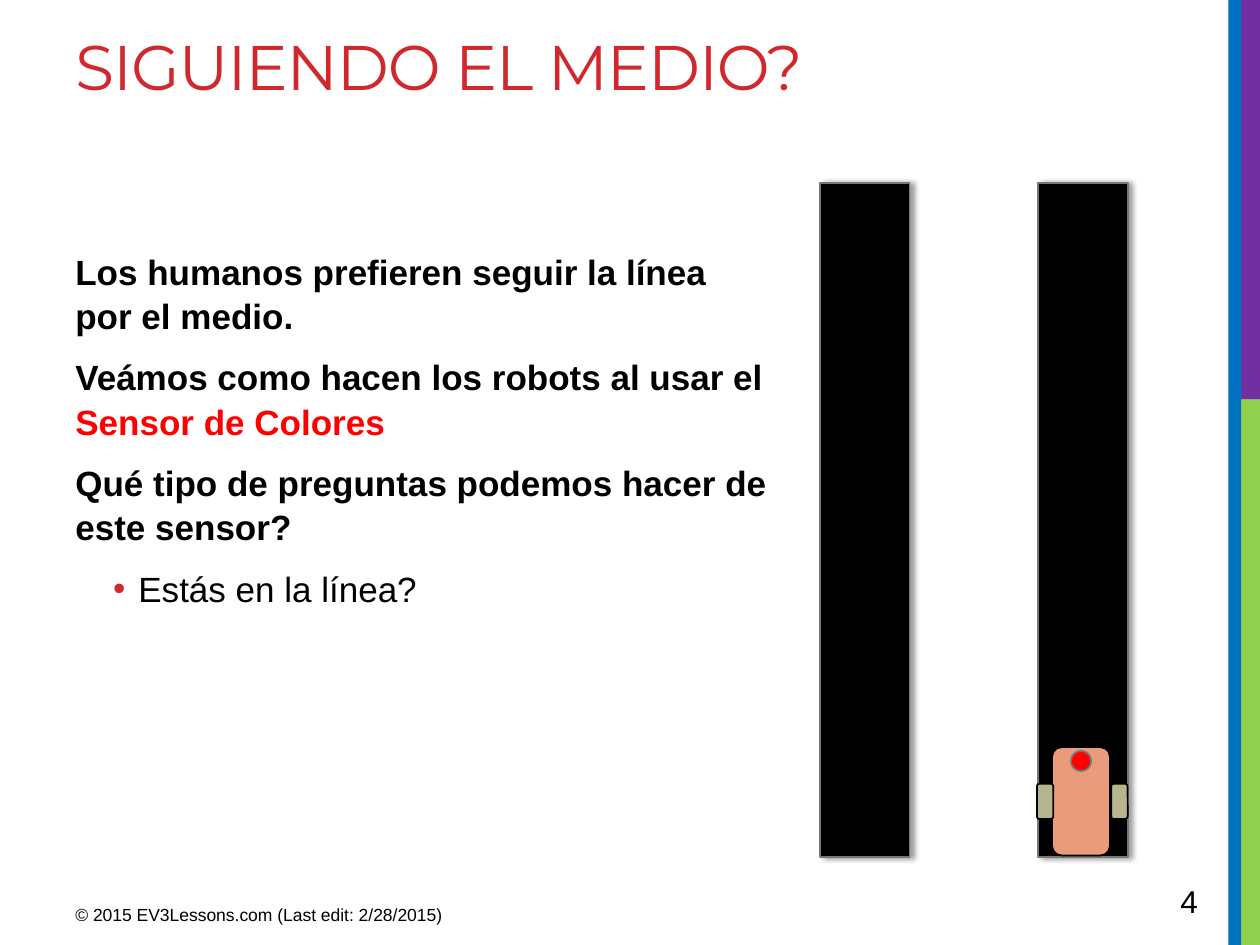
from dataclasses import dataclass

from lxml.etree import SubElement
from pptx import Presentation
from pptx.dml.color import RGBColor
from pptx.enum.shapes import MSO_SHAPE
from pptx.enum.text import MSO_ANCHOR
from pptx.oxml.ns import qn
from pptx.util import Inches, Pt


@dataclass(frozen=True)
class Theme:
    """Colours, fonts and type sizes of the lesson."""
    text: str = "000000"
    accent: str = "D1282E"
    highlight: str = "FF0000"
    green: str = "92D050"
    purple: str = "7030A0"
    blue: str = "0070C0"
    outline: str = "777777"
    robot: str = "EA9B7C"
    wheel: str = "B6B590"
    title_font: str = "Montserrat"
    body_font: str = "Arial"
    title_size: int = 36
    body_size: int = 20
    number_size: int = 18
    footer_size: int = 10


class LessonSlide:
    """Draws the elements of one slide in the theme's style."""

    def __init__(self, slide, theme):
        """Keep the slide and its theme."""
        self.slide = slide
        self.theme = theme

    def shape(self, kind, box, fill, line=None, parent=None):
        """Add a filled preset shape, outlined if a line colour is given."""
        shapes = (parent or self.slide).shapes
        item = shapes.add_shape(kind, *map(Inches, box))
        item.shadow.inherit = False
        item.fill.solid()
        item.fill.fore_color.rgb = RGBColor.from_string(fill)
        if line:
            item.line.color.rgb = RGBColor.from_string(line)
            item.line.width = Pt(1)
        else:
            item.line.fill.background()
        return item

    def track(self, left):
        """Add a black line for the robot to follow, with a soft shadow."""
        strip = self.shape(MSO_SHAPE.RECTANGLE, (left, 1.45, 0.71, 5.35),
                           self.theme.text, self.theme.outline)
        effects = strip._element.spPr.find(qn("a:effectLst"))
        shadow = SubElement(effects, qn("a:outerShdw"), blurRad=str(Pt(3.1)),
                            dist=str(Pt(1.8)), dir="0", rotWithShape="0")
        colour = SubElement(shadow, qn("a:srgbClr"), val=self.theme.text)
        SubElement(colour, qn("a:alpha"), val="40000")

    def robot(self):
        """Add the robot as a group of body, wheels and sensor."""
        theme = self.theme
        group = self.slide.shapes.add_group_shape()
        rounded = MSO_SHAPE.ROUNDED_RECTANGLE
        self.shape(rounded, (8.35, 5.93, 0.46, 0.86), theme.robot, theme.text, group)
        for left in (8.82, 8.23):
            self.shape(rounded, (left, 6.22, 0.13, 0.28), theme.wheel, theme.text, group)
        self.shape(MSO_SHAPE.OVAL, (8.5, 5.96, 0.16, 0.16),
                   theme.highlight, theme.outline, group)

    def text_frame(self, box, anchor=MSO_ANCHOR.TOP):
        """Add a wrapping text box and return its frame."""
        frame = self.slide.shapes.add_textbox(*map(Inches, box)).text_frame
        frame.word_wrap = True
        frame.vertical_anchor = anchor
        return frame

    def run(self, paragraph, words, size, colour=None, font=None, bold=False):
        """Add one styled run to a paragraph."""
        run = paragraph.add_run()
        run.text = words
        run.font.size = Pt(size)
        run.font.name = font or self.theme.body_font
        run.font.bold = bold
        run.font.color.rgb = RGBColor.from_string(colour or self.theme.text)
        return run

    def title(self, words):
        """Add the slightly condensed title."""
        frame = self.text_frame((0.5, 0.17, 9.02, 1.5))
        run = self.run(frame.paragraphs[0], words, self.theme.title_size,
                       self.theme.accent, self.theme.title_font)
        run.font._element.set("spc", "-60")

    def label(self, box, words, size):
        """Add a one-line label, centred vertically."""
        frame = self.text_frame(box, MSO_ANCHOR.MIDDLE)
        self.run(frame.paragraphs[0], words, size)

    def bullet(self, paragraph):
        """Indent a paragraph behind an accent-coloured bullet."""
        properties = paragraph._p.get_or_add_pPr()
        properties.set("marL", str(Inches(0.5)))
        properties.set("indent", str(Inches(-0.2)))
        colour = SubElement(properties, qn("a:buClr"))
        SubElement(colour, qn("a:srgbClr"), val=self.theme.accent)
        SubElement(properties, qn("a:buFont"), typeface=self.theme.body_font)
        SubElement(properties, qn("a:buChar"), char="•")

    def body(self, statements, question):
        """Add bold statements followed by one bulleted question."""
        frame = self.text_frame((0.5, 1.92, 5.7, 4.78))
        for index, parts in enumerate([*statements, [(question, None)]]):
            paragraph = frame.add_paragraph() if index else frame.paragraphs[0]
            is_statement = index < len(statements)
            if not is_statement:
                self.bullet(paragraph)
            paragraph.line_spacing = 1.05
            paragraph.space_before = Pt(4 if index else 0)
            paragraph.space_after = Pt(6)
            for words, colour in parts:
                self.run(paragraph, words, self.theme.body_size, colour,
                         bold=is_statement)


def main():
    """Build the slide and save it."""
    theme = Theme()
    deck = Presentation()
    deck.slide_width, deck.slide_height = Inches(10), Inches(7.5)
    lesson = LessonSlide(deck.slides.add_slide(deck.slide_layouts[6]), theme)

    for box, colour in (
        ((9.84, 3.17, 0.16, 4.33), theme.green),
        ((9.8, 0, 0.2, 3.17), theme.purple),
        ((9.75, 0, 0.1, 7.5), theme.blue),
    ):
        lesson.shape(MSO_SHAPE.RECTANGLE, box, colour)

    lesson.title("SIGUIENDO EL MEDIO?")
    lesson.body(
        [
            [("Los humanos prefieren seguir la línea por el medio.", None)],
            [("Veámos como hacen los robots al usar el ", None),
             ("Sensor de Colores", theme.highlight)],
            [("Qué tipo de preguntas podemos hacer de este sensor?", None)],
        ],
        "Estás en la línea?",
    )
    lesson.label((0.5, 7.1, 3.75, 0.31),
                 "© 2015 EV3Lessons.com (Last edit: 2/28/2015)", theme.footer_size)
    lesson.label((9.27, 6.95, 0.73, 0.4), "4", theme.number_size)

    for left in (6.51, 8.24):
        lesson.track(left)
    lesson.robot()
    deck.save("out.pptx")


if __name__ == "__main__":
    main()
